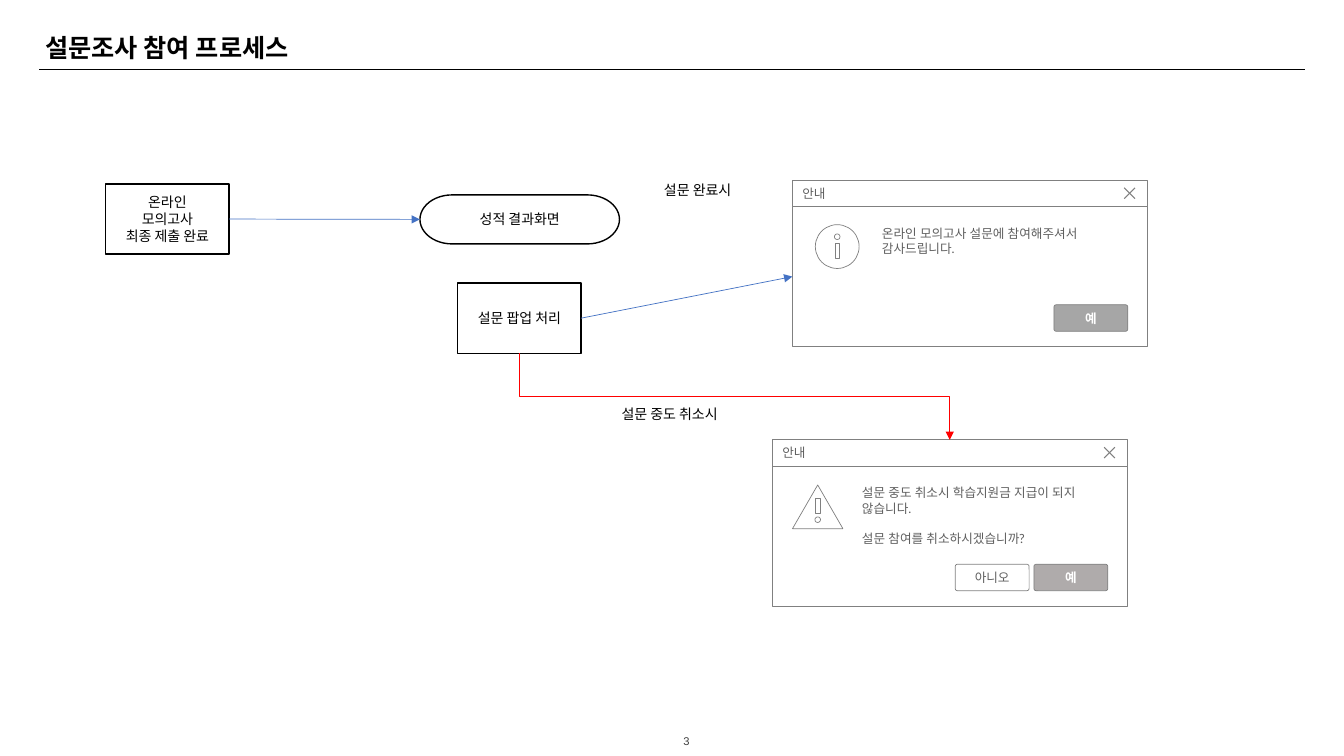
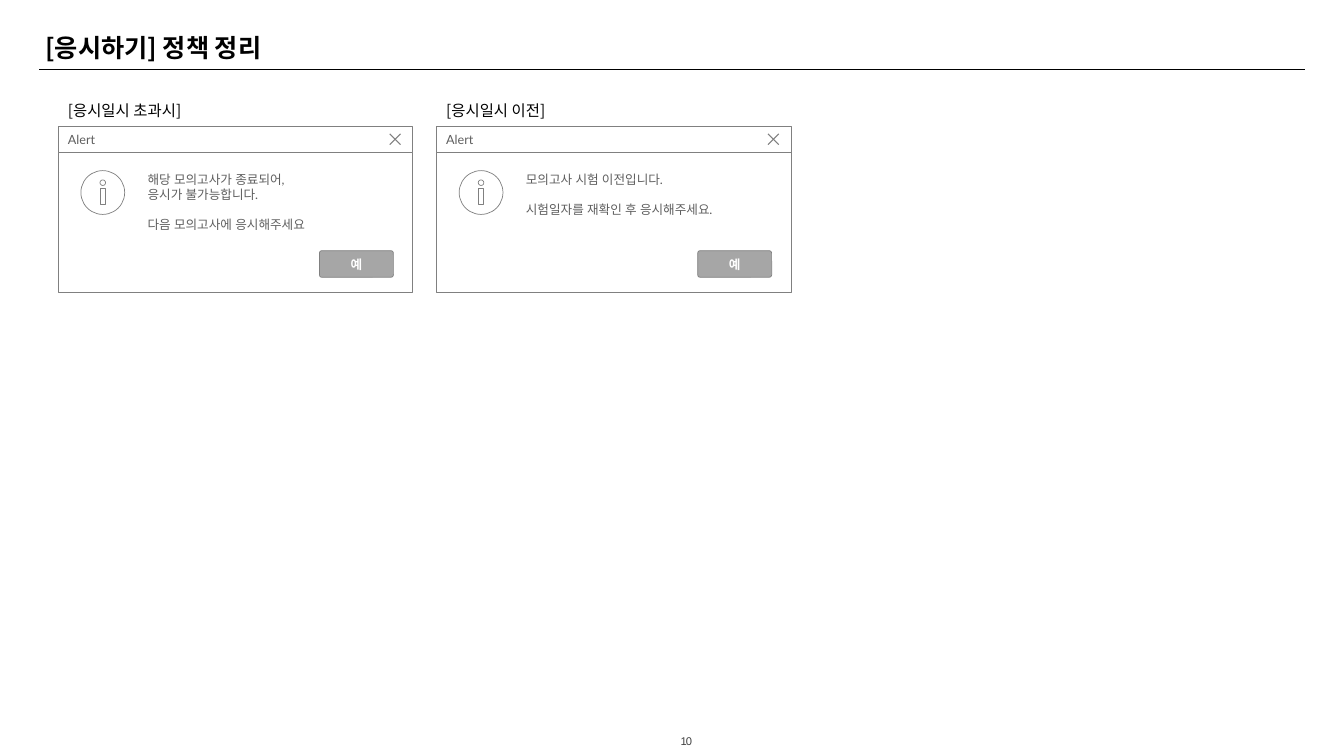
from pptx import Presentation
from pptx.dml.color import RGBColor
from pptx.enum.shapes import MSO_CONNECTOR, MSO_SHAPE
from pptx.enum.text import MSO_ANCHOR, MSO_AUTO_SIZE, PP_ALIGN
from pptx.oxml.ns import qn
from pptx.util import Pt
from lxml import etree

STRAIGHT, ELBOW = MSO_CONNECTOR.STRAIGHT, MSO_CONNECTOR.ELBOW
RECT, ROUND_RECT = MSO_SHAPE.RECTANGLE, MSO_SHAPE.ROUNDED_RECTANGLE
OVAL, TRIANGLE = MSO_SHAPE.OVAL, MSO_SHAPE.ISOSCELES_TRIANGLE
PROCESS, TERMINATOR = MSO_SHAPE.FLOWCHART_PROCESS, MSO_SHAPE.FLOWCHART_TERMINATOR
TOP, MIDDLE = MSO_ANCHOR.TOP, MSO_ANCHOR.MIDDLE
LEFT, CENTER = PP_ALIGN.LEFT, PP_ALIGN.CENTER
SIDE_TOP, SIDE_LEFT, SIDE_BOTTOM, SIDE_RIGHT = range(4)

BLACK, WHITE, GRAY, INK = "000000", "FFFFFF", "808080", "5F5F5F"
BLUE, RED = "4472C4", "FF0000"
KOREAN, DIALOG_FONT, NUMBER_FONT = "Noto Sans CJK KR", "Lato", "Arial"

TITLE_TEXT = {"name": KOREAN, "size": Pt(18), "bold": True}
FLOW_TEXT = {"name": KOREAN, "size": Pt(10), "bold": False}
CAPTION_TEXT = {"name": KOREAN, "size": Pt(11), "bold": False}
DIALOG_TEXT = {"name": DIALOG_FONT, "size": Pt(9), "bold": False}
BUTTON_TEXT = {"name": DIALOG_FONT, "size": Pt(9), "bold": True}
NUMBER_TEXT = {"name": NUMBER_FONT, "size": Pt(8), "bold": False}

DEFAULT_INSETS = (7.2, 3.6, 7.2, 3.6)
DIALOG_WIDTH, HEADER_HEIGHT, BODY_HEIGHT = 253.5, 18.7, 100
BUTTON_WIDTH, BUTTON_HEIGHT, BUTTON_STEP = 52.8, 19, 56.2

# Outlines as shape, left, top, width, height from the dialog's corner
INFO_ICON = [
    (OVAL, 16.4, 31.6, 31.3, 31.3),
    (OVAL, 30, 38.2, 4, 4),
    (RECT, 30.4, 44.6, 3.2, 11.4),
]
WARNING_ICON = [
    (TRIANGLE, 14.4, 32.2, 36, 31.2),
    (RECT, 30.8, 41.8, 3.2, 10.8),
    (OVAL, 30.4, 55, 4, 4),
]


def colour(value):
    return RGBColor.from_string(value)


def place(box, left, top, width, height):
    box.left, box.top, box.width, box.height = map(Pt, (left, top, width, height))


def write(box, paragraphs, font, ink=BLACK, align=LEFT, anchor=TOP,
          insets=DEFAULT_INSETS, gaps=None, line_spacing=None):
    """Fill a box with paragraphs; gaps maps a paragraph index to its space before."""
    frame = box.text_frame
    frame.word_wrap = True
    frame.vertical_anchor = anchor
    sides = ("margin_left", "margin_top", "margin_right", "margin_bottom")
    for side, inset in zip(sides, insets):
        setattr(frame, side, Pt(inset))
    for index, text in enumerate(paragraphs):
        para = frame.paragraphs[0] if index == 0 else frame.add_paragraph()
        para.alignment = align
        if line_spacing:
            para.line_spacing = line_spacing
        if gaps and index in gaps:
            para.space_before = Pt(gaps[index])
        span = para.add_run()
        span.text = text
        for name, value in font.items():
            setattr(span.font, name, value)
        span.font.color.rgb = colour(ink)
        east_asian = etree.SubElement(span.font._element, qn("a:ea"))
        east_asian.set("typeface", font["name"])


def outline(shape, line, weight, fill=None):
    shape.shadow.inherit = False
    shape.line.color.rgb = colour(line)
    shape.line.width = Pt(weight)
    if fill:
        shape.fill.solid()
        shape.fill.fore_color.rgb = colour(fill)
    else:
        shape.fill.background()


def add_box(shapes, kind, area, line=GRAY, weight=0.5, fill=None):
    box = shapes.add_shape(kind, *map(Pt, area))
    outline(box, line, weight, fill)
    return box


def add_label(page, area, text, font, **text_format):
    box = page.shapes.add_textbox(*map(Pt, area))
    write(box, [text], font, **text_format)
    return box


def add_line(page, kind, ends, line):
    connector = page.shapes.add_connector(kind, *map(Pt, ends))
    connector.line.color.rgb = colour(line)
    connector.line.width = Pt(0.5)
    etree.SubElement(connector._element.spPr, qn("a:effectLst"))
    return connector


def add_arrow(page, kind, start, start_side, end, end_side, line):
    arrow = add_line(page, kind, (0, 0, 0, 0), line)
    arrow.begin_connect(start, start_side)
    arrow.end_connect(end, end_side)
    tail = etree.SubElement(arrow.line._get_or_add_ln(), qn("a:tailEnd"))
    tail.set("type", "triangle")
    return arrow


def leave_downwards(arrow):
    """Turn an elbow running down and right so that it starts and ends vertically."""
    across, down = arrow.width, arrow.height
    arrow.left += (across - down) // 2
    arrow.top += (down - across) // 2
    arrow.width, arrow.height = down, across
    frame = arrow._element.spPr.find(qn("a:xfrm"))
    frame.set("rot", "16200000")
    frame.set("flipH", "1")


def add_flow_box(page, kind, area, paragraphs):
    box = add_box(page.shapes, kind, area, BLACK, 1)
    write(box, paragraphs, FLOW_TEXT, align=CENTER, anchor=MIDDLE)
    return box


def add_close_mark(shapes, left, top, size=7.7):
    right, bottom = left + size, top + size
    builder = shapes.build_freeform(Pt(right), Pt(top))
    builder.add_line_segments([(Pt(left), Pt(bottom))], close=False)
    builder.move_to(Pt(left), Pt(top))
    builder.add_line_segments([(Pt(right), Pt(bottom))], close=False)
    outline(builder.convert_to_shape(), GRAY, 0.75)


def add_button(shapes, left, top, text, fill):
    button = add_box(shapes, ROUND_RECT, (left, top, BUTTON_WIDTH, BUTTON_HEIGHT), fill=fill)
    button.adjustments[0] = 0.09
    plain = fill == WHITE
    write(button, [text], DIALOG_TEXT if plain else BUTTON_TEXT,
          INK if plain else WHITE, CENTER, MIDDLE)


def add_dialog(page, left, top, heading, message, icon=INFO_ICON, gaps=None,
               buttons=(("예", "A6A6A6"),)):
    """Draw a message window, buttons from right to left; return its header and body."""
    shapes = page.shapes.add_group_shape().shapes
    body = add_box(shapes, RECT, (left, top + HEADER_HEIGHT, DIALOG_WIDTH, BODY_HEIGHT), fill=WHITE)
    message_box = shapes.add_textbox(*map(Pt, (left + 58.2, top + 29.5, 181, 54)))
    write(message_box, message, DIALOG_TEXT, INK, insets=(5.8, 2.9, 5.8, 2.9), gaps=gaps)
    header = add_box(shapes, RECT, (left, top, DIALOG_WIDTH, HEADER_HEIGHT), fill=WHITE)
    write(header, [heading], DIALOG_TEXT, INK, anchor=MIDDLE, insets=(7.2, 3.6, 18, 3.6))
    add_close_mark(shapes, left + 237, top + 5.3)
    for kind, across, down, width, height in icon:
        add_box(shapes, kind, (left + across, top + down, width, height))
    for index, (text, fill) in enumerate(buttons):
        add_button(shapes, left + 186.8 - index * BUTTON_STEP, top + 88.8, text, fill)
    return header, body


def start_page(deck, title, number):
    page = deck.slides.add_slide(deck.slide_layouts[5])
    add_line(page, STRAIGHT, (28, 49.7, 932, 49.7), BLACK)
    place(page.shapes.title, 25.2, 21.6, 828, 31.7)
    write(page.shapes.title, [title], TITLE_TEXT, line_spacing=0.9)
    page.shapes.title.text_frame.auto_size = MSO_AUTO_SIZE.NONE
    box = add_label(page, (478.8, 520.6, 23, 17.3), str(number), NUMBER_TEXT,
                    ink="404040", align=CENTER, anchor=MIDDLE)
    box.text_frame.word_wrap = False
    box.text_frame.paragraphs[0].runs[0].font._element.set("spc", "-70")
    return page


def build_process(deck):
    page = start_page(deck, "설문조사 참여 프로세스", 3)
    submitted = add_flow_box(page, PROCESS, (75.6, 131.5, 88, 50),
                             ["온라인", "모의고사", "최종 제출 완료"])
    result = add_flow_box(page, TERMINATOR, (300, 139.2, 142.5, 35), ["성적 결과화면"])
    survey = add_flow_box(page, PROCESS, (327, 202.3, 88, 50), ["설문 팝업 처리"])
    add_label(page, (451.5, 126, 93.6, 19.4), "설문 완료시", FLOW_TEXT, align=CENTER)
    add_label(page, (431.5, 286.3, 93.6, 19.4), "설문 중도 취소시", FLOW_TEXT, align=CENTER)
    _, thanks = add_dialog(page, 566, 128.9, "안내",
                           ["온라인 모의고사 설문에 참여해주셔서 감사드립니다."])
    cancel, _ = add_dialog(
        page, 551.7, 314.2, "안내",
        ["설문 중도 취소시 학습지원금 지급이 되지 않습니다.", "설문 참여를 취소하시겠습니까?"],
        WARNING_ICON, {1: 10.8}, [("예", "AFABAB"), ("아니오", WHITE)])
    add_arrow(page, STRAIGHT, submitted, SIDE_RIGHT, result, SIDE_LEFT, BLUE)
    add_arrow(page, STRAIGHT, survey, SIDE_RIGHT, thanks, SIDE_LEFT, BLUE)
    leave_downwards(add_arrow(page, ELBOW, survey, SIDE_BOTTOM, cancel, SIDE_TOP, RED))


def build_policy(deck):
    page = start_page(deck, "[응시하기] 정책 정리", 10)
    alerts = [
        ("[응시일시 초과시]", {2: 10.8},
         ["해당 모의고사가 종료되어,", "응시가 불가능합니다.", "다음 모의고사에 응시해주세요"]),
        ("[응시일시 이전]", {1: 10.8},
         ["모의고사 시험 이전입니다.", "시험일자를 재확인 후 응시해주세요."]),
    ]
    for index, (caption, gaps, message) in enumerate(alerts):
        left = 41.4 + index * 270.2
        add_label(page, (left, 69, 208.8, 20.9), caption, CAPTION_TEXT)
        add_dialog(page, left, 90.3, "Alert", message, gaps=gaps)


def main():
    deck = Presentation()
    deck.slide_width, deck.slide_height = Pt(960), Pt(540)
    build_process(deck)
    build_policy(deck)
    deck.save("out.pptx")


if __name__ == "__main__":
    main()
